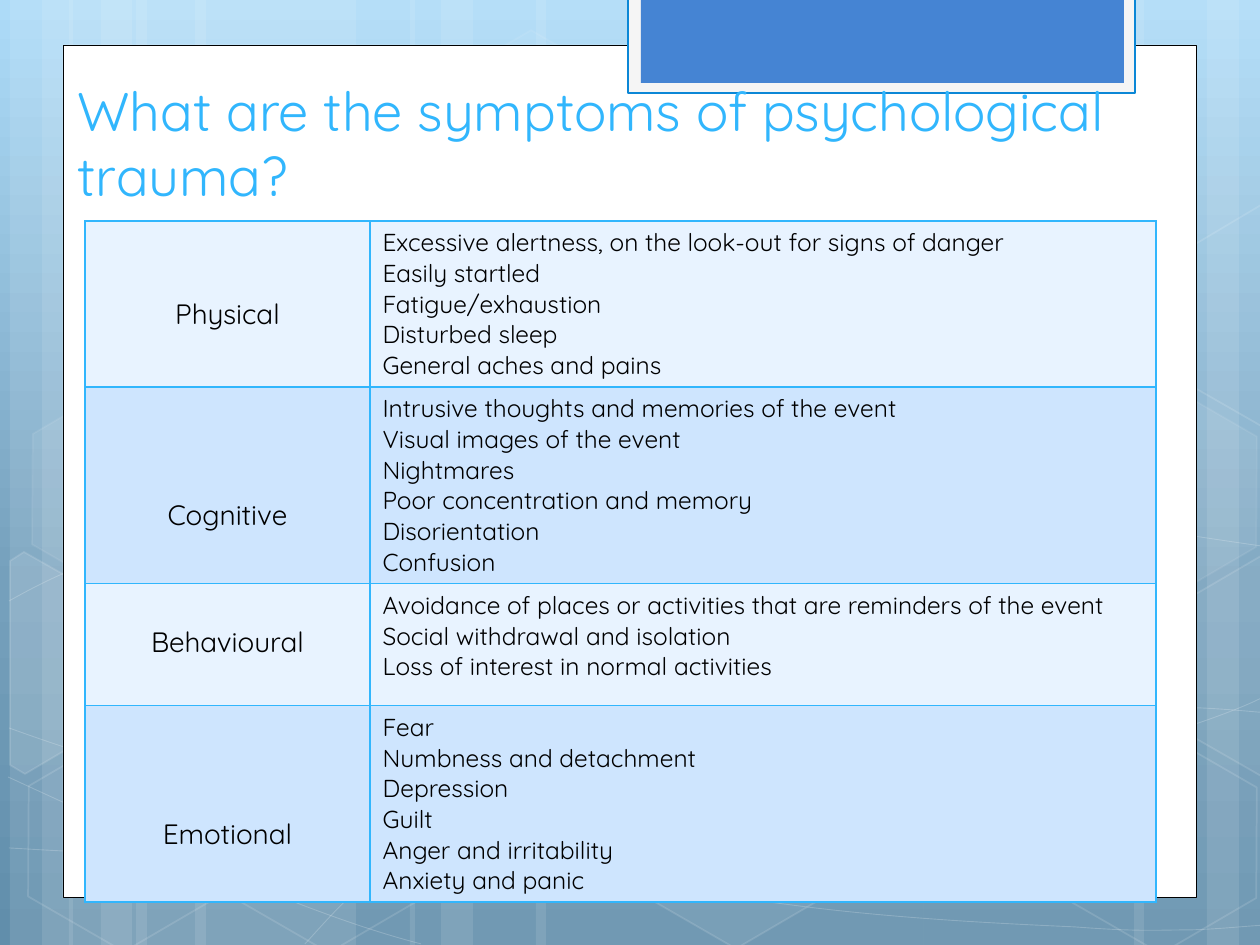
import copy

import lxml.etree
import pptx
import pptx.dml.color
import pptx.enum.shapes
import pptx.enum.text
import pptx.oxml
import pptx.oxml.ns
import pptx.util

PX = 9144000 // 1260
FONT = "Quicksand"
WHITE, SKY, BLACK = "FFFFFF", "31B6FD", "000000"
TITLE = "What are the symptoms of psychological trauma?"
SYMPTOMS = [
    ("Physical", 2, 166, [
        "Excessive alertness, on the look-out for signs of danger",
        "Easily startled", "Fatigue/exhaustion", "Disturbed sleep",
        "General aches and pains"]),
    ("Cognitive", 3, 196, [
        "Intrusive thoughts and memories of the event",
        "Visual images of the event", "Nightmares",
        "Poor concentration and memory", "Disorientation", "Confusion"]),
    ("Behavioural", 1, 122, [
        "Avoidance of places or activities that are reminders of the event",
        "Social withdrawal and isolation",
        "Loss of interest in normal activities"]),
    ("Emotional", 3, 196, [
        "Fear", "Numbness and detachment", "Depression", "Guilt",
        "Anger and irritability", "Anxiety and panic"]),
]
COLUMN_WIDTHS = (285, 786)
ROW_FILLS = ("E8F3FF", "CEE5FE")
LABEL_LINE = 35

BACKGROUND_STOPS = [(0, "ADDBF8"), (0.62, "75A0BC"), (1, "618EAB")]
BANDS = [(136, 220), (10, 63), (42, 105), (195, 220), (69, 63), (101, 105),
         (924, 220), (1207, 63), (1134, 105), (536, 388), (410, 63), (441, 105)]
CURVES = [
    [(9, 848), (77, 852), (145, 856), (239, 854), (334, 853), (451, 851), (577, 838),
     (703, 825), (882, 801), (998, 777), (1113, 753), (1231, 716), (1269, 694)],
    [(9, 601), (45, 581), (82, 562), (152, 543), (224, 524), (326, 499), (437, 488),
     (549, 479), (685, 478), (824, 488), (963, 498), (1193, 537), (1269, 547)],
    [(8, 777), (160, 847), (311, 916), (421, 944)],
    [(9, 728), (48, 742), (88, 756), (161, 776), (234, 795), (344, 827), (450, 848),
     (554, 869), (687, 892), (791, 905), (896, 919), (1008, 924), (1075, 927),
     (1140, 932), (1158, 930), (1191, 930), (1223, 929), (1246, 926), (1269, 925)],
    [(305, 944), (328, 919), (350, 893), (381, 871), (411, 848), (454, 822), (489, 805),
     (523, 788), (546, 780), (592, 767), (638, 755), (722, 737), (766, 728),
     (811, 719), (818, 719), (857, 717), (896, 713), (958, 709), (1000, 708),
     (1045, 707), (1116, 708), (1116, 708), (1144, 708), (1173, 708), (1201, 708),
     (1223, 709), (1245, 711), (1256, 712), (1268, 713), (1264, 712), (1268, 713)],
]
HEXAGONS = [(421, 45, 4, 8), (626, 742, 6, 12), (14, 745, 0, 12), (18, 393, 7, 8),
            (219, 746, 0, 12), (949, 571, 10, 12), (1051, 747, 0, 12), (1051, 396, 7, 8)]
CUT_HEXAGONS = [
    ([(10, 561), (24, 552), (121, 607), (120, 718), (25, 774), (10, 765)], 10),
    ([(1167, 611), (1261, 556), (1271, 562), (1271, 772), (1263, 777), (1167, 722)], 4),
    ([(1167, 261), (1261, 205), (1273, 212), (1271, 422), (1263, 427), (1167, 372)], 0),
]
PANELS = [
    ((63, 45, 1134, 853), WHITE, BLACK, 0.5),
    ((628, -3, 507, 96), "F5F5F5", "0B87D6", 1.25),
    ((641, -3, 483, 86), "4584D3", None, 0),
]


def rgb(value):
    return pptx.dml.color.RGBColor.from_string(value)


def paint(fill, color, opacity=100):
    if not color or not opacity:
        fill.background()
        return
    fill.solid()
    fill.fore_color.rgb = rgb(color)
    if opacity < 100:
        node = fill._xPr.find(".//" + pptx.oxml.ns.qn("a:srgbClr"))
        alpha = lxml.etree.SubElement(node, pptx.oxml.ns.qn("a:alpha"))
        alpha.set("val", str(opacity * 1000))


def style(shape, fill, fill_opacity=100, line=None, width=0, line_opacity=100):
    shape.shadow.inherit = False
    paint(shape.fill, fill, fill_opacity)
    paint(shape.line.fill, line, line_opacity)
    if line:
        shape.line.width = pptx.util.Pt(width)


def add_preset(shapes, kind, box):
    return shapes.add_shape(kind, *(value * PX for value in box))


def add_outline(shapes, points, close):
    builder = shapes.build_freeform(*points[0], scale=PX)
    builder.add_line_segments(points[1:], close=close)
    return builder.convert_to_shape()


def add_curve(shapes, controls):
    curve = add_outline(shapes, controls, False)
    outline = curve._element.find(".//" + pptx.oxml.ns.qn("a:path"))
    lines = outline.findall(pptx.oxml.ns.qn("a:lnTo"))
    for start in range(0, len(lines), 3):
        bezier = lxml.etree.SubElement(outline, pptx.oxml.ns.qn("a:cubicBezTo"))
        for line in lines[start:start + 3]:
            bezier.append(line[0])
            outline.remove(line)
    return curve


def add_background(slide):
    fill = slide.background.fill
    fill.gradient()
    fill.gradient_angle = 270
    stops = slide._element.find(".//" + pptx.oxml.ns.qn("a:gsLst"))
    stops.append(copy.deepcopy(stops[-1]))
    for stop, (position, color) in zip(fill.gradient_stops, BACKGROUND_STOPS):
        stop.position = position
        stop.color.rgb = rgb(color)


def add_decoration(slide):
    kinds = pptx.enum.shapes.MSO_SHAPE
    backdrop = slide.shapes.add_group_shape().shapes
    for left, width in BANDS:
        style(add_preset(backdrop, kinds.RECTANGLE, (left, 0, width, 945)), WHITE, 10)
    for controls in CURVES:
        style(add_curve(backdrop, controls), None, line=WHITE, width=0.5, line_opacity=20)
    for left, top, fill_opacity, line_opacity in HEXAGONS:
        hexagon = add_preset(backdrop, kinds.HEXAGON, (left, top, 220, 192))
        hexagon.adjustments[0] = 0.285
        hexagon.rotation = 30
        style(hexagon, WHITE, fill_opacity, WHITE, 1, line_opacity)
    for points, opacity in CUT_HEXAGONS:
        style(add_outline(backdrop, points, True), WHITE, opacity, WHITE, 1, 12)
    for box, fill, line, width in PANELS:
        style(add_preset(slide.shapes, kinds.RECTANGLE, box), fill, line=line, width=width)


def move_decoration_to_layout(slide):
    tree = slide.slide_layout.shapes._spTree
    for shape in list(slide.shapes):
        if not shape.is_placeholder:
            tree.append(shape._element)
    for number, node in enumerate(tree.iter(pptx.oxml.ns.qn("p:cNvPr")), 1):
        node.set("id", str(number))


def format_text(text_frame, size, color, alignment):
    for paragraph in text_frame.paragraphs:
        paragraph.alignment = alignment
        for run in paragraph.runs:
            run.font.name = FONT
            run.font.size = pptx.util.Pt(size)
            run.font.color.rgb = rgb(color)


def place_title(slide):
    title = slide.shapes.title
    title.left, title.top, title.width, title.height = (
        value * PX for value in (65, 56, 1134, 158))
    frame = title.text_frame
    frame.text = TITLE
    frame.word_wrap = True
    frame.auto_size = pptx.enum.text.MSO_AUTO_SIZE.NONE
    frame.vertical_anchor = pptx.enum.text.MSO_ANCHOR.BOTTOM
    format_text(frame, 31, SKY, pptx.enum.text.PP_ALIGN.LEFT)


def style_cell(cell, fill):
    properties = cell._tc.get_or_add_tcPr()
    for side in ("lnL", "lnR", "lnT", "lnB"):
        properties.append(pptx.oxml.parse_xml(
            f'<a:{side} {pptx.oxml.ns.nsdecls("a")} w="12700"><a:solidFill>'
            f'<a:srgbClr val="{SKY}"/></a:solidFill></a:{side}>'))
    paint(cell.fill, fill)


def add_symptom_table(slide):
    box = (85, 221, sum(COLUMN_WIDTHS), sum(row[2] for row in SYMPTOMS))
    table = slide.shapes.add_table(
        len(SYMPTOMS), 2, *(value * PX for value in box)).table
    table.first_row = table.horz_banding = False
    for column, width in zip(table.columns, COLUMN_WIDTHS):
        column.width = width * PX
    align = pptx.enum.text.PP_ALIGN
    for index, (category, lines_above, height, symptoms) in enumerate(SYMPTOMS):
        table.rows[index].height = height * PX
        label, details = table.cell(index, 0), table.cell(index, 1)
        label.text_frame.text = category
        details.text_frame.text = "\n".join(symptoms)
        for cell in (label, details):
            style_cell(cell, ROW_FILLS[index % 2])
        label.margin_top = (6 + lines_above * LABEL_LINE) * PX
        format_text(label.text_frame, 16, BLACK, align.CENTER)
        format_text(details.text_frame, 14, BLACK, align.LEFT)


def main():
    presentation = pptx.Presentation()
    presentation.slide_width, presentation.slide_height = 1260 * PX, 945 * PX
    slide = presentation.slides.add_slide(presentation.slide_layouts[5])
    add_background(slide)
    add_decoration(slide)
    move_decoration_to_layout(slide)
    place_title(slide)
    add_symptom_table(slide)
    presentation.save("out.pptx")


if __name__ == "__main__":
    main()
